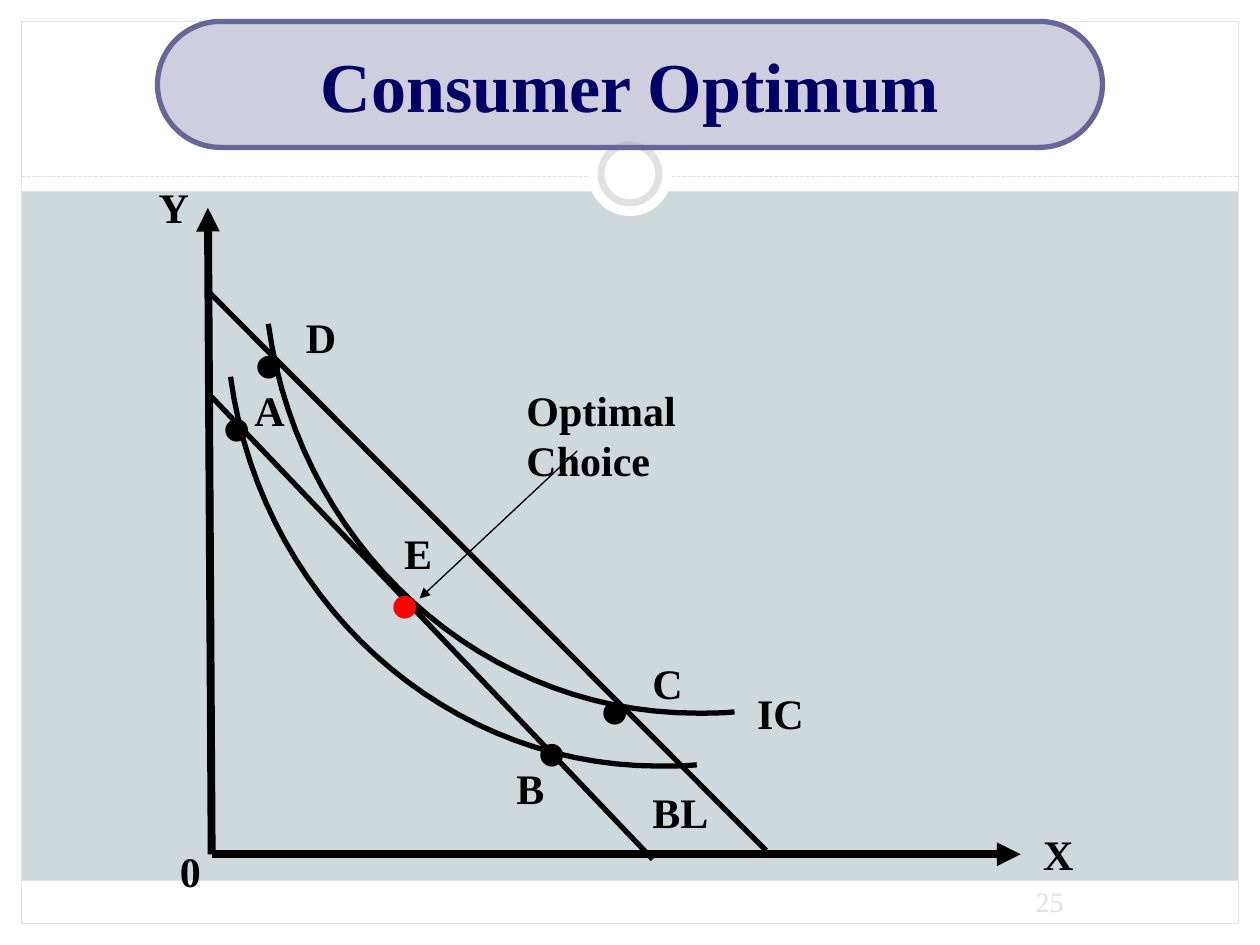
from lxml import etree
from pptx import Presentation
from pptx.dml.color import RGBColor
from pptx.enum.dml import MSO_LINE_DASH_STYLE
from pptx.enum.shapes import MSO_CONNECTOR, MSO_SHAPE
from pptx.enum.text import MSO_ANCHOR, PP_ALIGN
from pptx.oxml.ns import qn
from pptx.util import Inches, Pt

RECTANGLE, OVAL, PILL = MSO_SHAPE.RECTANGLE, MSO_SHAPE.OVAL, MSO_SHAPE.ROUNDED_RECTANGLE
STRAIGHT = MSO_CONNECTOR.STRAIGHT
DASHED = MSO_LINE_DASH_STYLE.SQUARE_DOT
LEFT, CENTER = PP_ALIGN.LEFT, PP_ALIGN.CENTER
TOP, MIDDLE = MSO_ANCHOR.TOP, MSO_ANCHOR.MIDDLE
FONT = "Times New Roman"
BLACK, WHITE, GREY, RED = "000000", "FFFFFF", "E1E1E1", "FF0000"


def color(hex_text):
    return RGBColor.from_string(hex_text)


def write(frame, text, size=24, ink=BLACK, bold=True, align=LEFT, anchor=TOP):
    frame.word_wrap = True
    frame.vertical_anchor = anchor
    para = frame.paragraphs[0]
    para.alignment = align
    span = para.add_run()
    span.text = text
    span.font.name, span.font.size, span.font.bold = FONT, Pt(size), bold
    span.font.color.rgb = color(ink)


def add_label(page, box, text, **style):
    label = page.shapes.add_textbox(*map(Inches, box))
    write(label.text_frame, text, **style)


def add_block(page, kind, box, fill=None, line=None, weight=0.75, opacity=100):
    block = page.shapes.add_shape(kind, *map(Inches, box))
    block.shadow.inherit = False
    if fill:
        block.fill.solid()
        block.fill.fore_color.rgb = color(fill)
        if opacity < 100:
            tint = block.fill._xPr.find(qn("a:solidFill"))[0]
            etree.SubElement(tint, qn("a:alpha")).set("val", str(opacity * 1000))
    else:
        block.fill.background()
    if line:
        block.line.color.rgb = color(line)
        block.line.width = Pt(weight)
    else:
        block.line.fill.background()
    return block


def add_line(page, start, end, ink=BLACK, weight=3, dash=None, arrow=False):
    line = page.shapes.add_connector(STRAIGHT, *map(Inches, (*start, *end)))
    line.line.color.rgb = color(ink)
    line.line.width = Pt(weight)
    if dash:
        line.line.dash_style = dash
    if arrow:
        etree.SubElement(line.line._get_or_add_ln(), qn("a:tailEnd")).set("type", "triangle")
    etree.SubElement(line._element.spPr, qn("a:effectLst"))


def bezier(controls, steps=30):
    """Return points along a cubic curve, without its first point."""
    weights = (1, 3, 3, 1)
    return [
        tuple(
            sum(w * (1 - t) ** (3 - i) * t**i * point[axis]
                for i, (w, point) in enumerate(zip(weights, controls)))
            for axis in (0, 1)
        )
        for t in (step / steps for step in range(1, steps + 1))
    ]


def add_indifference_curve(page, left, top):
    """Draw a curve whose upper end is at (left, top)."""
    tail = [(3.7, 3.08), (3.6, 3.09), (3.5, 3.09), (3.4, 3.09)]
    body = [(3.4, 3.09), (1.69, 3.09), (0.24, 1.77), (0, 0)]
    points = [(Inches(left + x), Inches(top + y))
              for x, y in [tail[0], *bezier(tail, 4), *bezier(body)]]
    builder = page.shapes.build_freeform(*points[0])
    builder.add_line_segments(points[1:], close=False)
    curve = builder.convert_to_shape()
    curve.shadow.inherit = False
    curve.fill.background()
    curve.line.color.rgb = color(BLACK)
    curve.line.width = Pt(3)


def add_frame(page, box):
    """Draw white margins, border and header ring around the given inner box."""
    left, top, width, height = box
    right, bottom = left + width, top + height
    page_width, page_height = right + left, bottom + top
    for band in (
        (0, bottom, page_width, top),
        (0, 0, page_width, 1.52),
        (0, 0, left, page_height),
        (right, 0, left, page_height),
        (left, bottom - 0.34, width, 0.34),
    ):
        add_block(page, RECTANGLE, band, WHITE)
    add_block(page, RECTANGLE, box, line=GREY)
    add_line(page, (left, 1.4), (right, 1.4), GREY, 0.75, DASHED)
    for size, line in ((0.67, None), (0.46, GREY)):
        ring = ((page_width - size) / 2, 1.38 - size / 2, size, size)
        add_block(page, OVAL, ring, WHITE, line, 4)
    add_label(page, (7.83, 6.97, 1, 0.4), "25", size=16, ink=GREY, bold=False, align=CENTER)


def add_title(page, box):
    pill = add_block(page, PILL, box, "9F9FBF", "666699", 3, opacity=50)
    pill.adjustments[0] = 0.5
    title = page.shapes.title
    title.left, title.top, title.width, title.height = map(Inches, box)
    write(title.text_frame, "Consumer Optimum", size=40, ink="000066", align=CENTER, anchor=MIDDLE)
    page.shapes._spTree.append(title._element)  # in front of the pill


def add_diagram(page, box):
    """Draw axes, budget lines, curves and points; all places are offsets in the box."""
    left, top, width, height = box

    def at(x, y):
        return left + x, top + y

    origin = at(0.52, 5.39)
    add_line(page, origin, at(width, 5.39), weight=4.5, arrow=True)
    add_line(page, origin, at(0.49, 0.26), weight=4.5, arrow=True)
    add_line(page, at(0.52, 1.76), at(4.02, 5.43))
    add_line(page, at(0.51, 0.94), at(4.92, 5.36))
    for upper_end in ((0.97, 1.18), (0.67, 1.6)):
        add_indifference_curve(page, *at(*upper_end))
    for x, y, ink in (
        (3.01, 4.11, BLACK),
        (1.84, 2.94, RED),
        (3.51, 3.78, BLACK),
        (0.76, 1.03, BLACK),
        (0.51, 1.53, BLACK),
    ):
        add_label(page, (*at(x, y), 0.43, 0.9), "•", size=48, ink=ink)
    for text, x, y, label_width in (
        ("Y", 0, 0, 0.45),
        ("X", 7.02, 5.14, 0.45),
        ("0", 0.17, 5.27, 0.4),
        ("A", 0.76, 1.61, 0.45),
        ("B", 2.84, 4.61, 0.45),
        ("C", 3.92, 3.78, 0.45),
        ("D", 1.17, 1.03, 0.45),
        ("E", 1.95, 2.75, 0.45),
        ("IC", 4.75, 4.02, 0.65),
        ("BL", 3.92, 4.8, 0.75),
        ("Optimal Choice", 2.92, 1.61, 2.34),
    ):
        add_label(page, (*at(x, y), label_width, 0.5), text)
    add_line(page, at(3.42, 2.19), at(2.17, 3.36), weight=0.75, arrow=True)


def main():
    deck = Presentation()
    deck.slide_width, deck.slide_height = Inches(10), Inches(7.5)
    page = deck.slides.add_slide(deck.slide_layouts[5])
    page.background.fill.solid()
    page.background.fill.fore_color.rgb = color("CED9DE")
    add_frame(page, (0.17, 0.17, 9.66, 7.16))
    add_diagram(page, (1.16, 1.39, 6.94, 5.6))
    add_title(page, (1.25, 0.17, 7.5, 1))
    deck.save("out.pptx")


if __name__ == "__main__":
    main()
